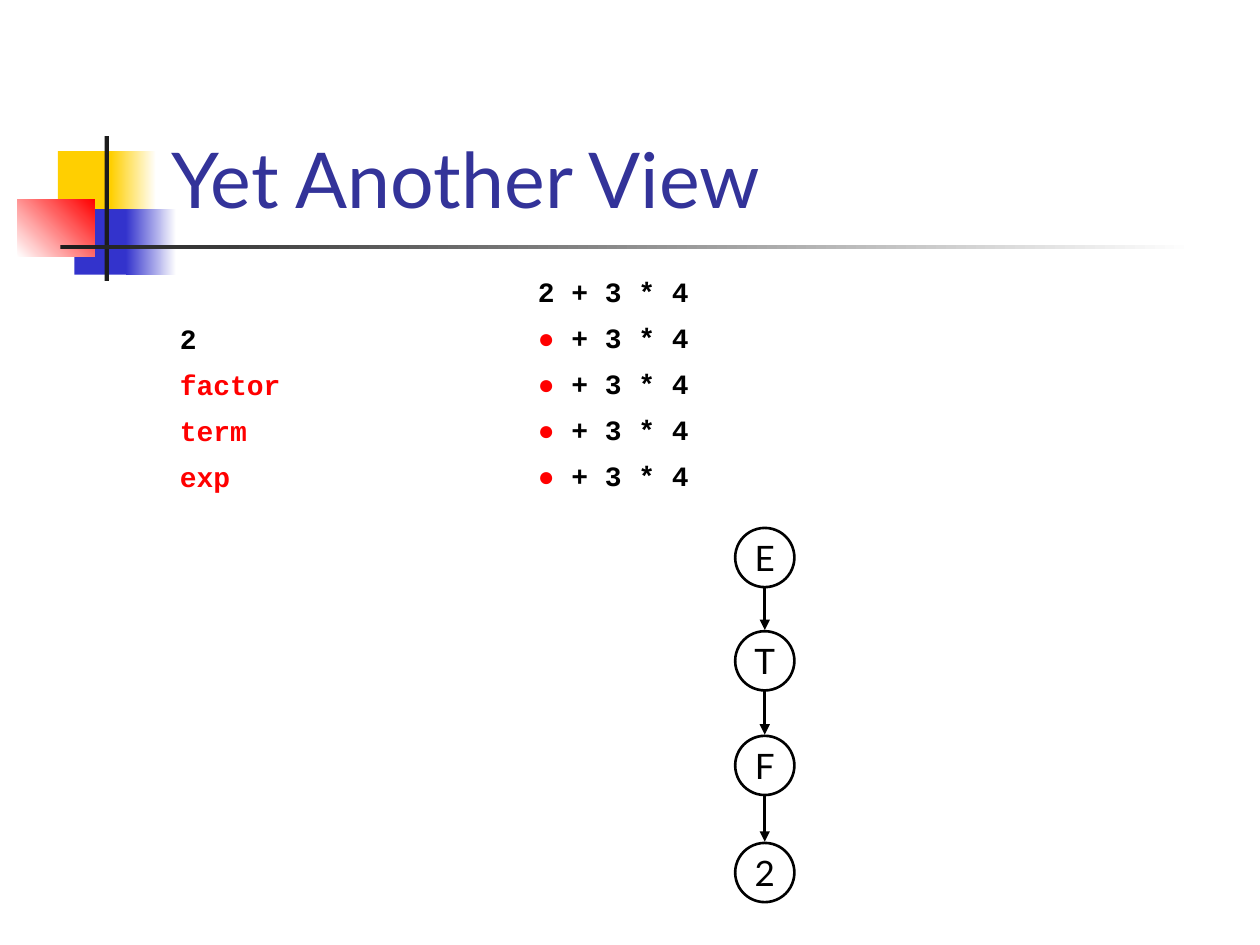
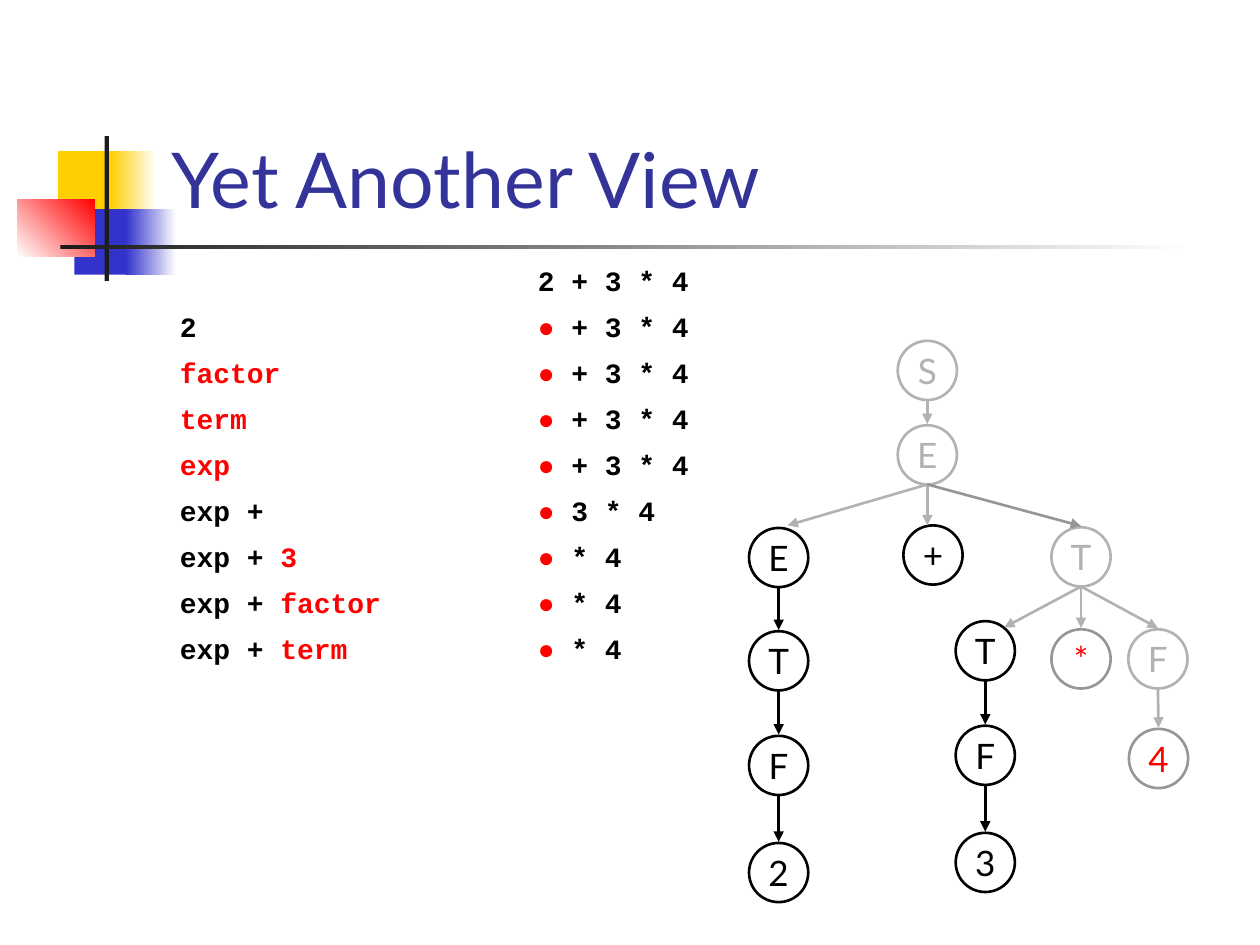
from lxml import etree
from pptx import Presentation
from pptx.dml.color import RGBColor
from pptx.enum.shapes import MSO_CONNECTOR, MSO_SHAPE
from pptx.enum.text import MSO_ANCHOR, MSO_AUTO_SIZE, PP_ALIGN
from pptx.oxml.ns import qn
from pptx.util import Inches, Pt

RECTANGLE, ELLIPSE = MSO_SHAPE.RECTANGLE, MSO_SHAPE.OVAL
STRAIGHT = MSO_CONNECTOR.STRAIGHT
CENTER = PP_ALIGN.CENTER
MIDDLE, BOTTOM = MSO_ANCHOR.MIDDLE, MSO_ANCHOR.BOTTOM
GROW = MSO_AUTO_SIZE.SHAPE_TO_FIT_TEXT

COLORS = {
    "black": "000000", "white": "FFFFFF", "red": "FF0000", "gold": "FFCF01",
    "blue": "3333CC", "ink": "1C1C1C", "title": "333399",
    "pending": "B2B2B2", "gray": "969696",
}
FONTS = {
    "title": {"name": "Lato", "size": Pt(44)},
    "node": {"name": "Lato", "size": Pt(20)},
    "code": {"name": "Courier New", "size": Pt(16)},
}
ROW_FORMAT = {"line_spacing": 0.9, "space_before": Pt(9)}
COLUMNS, ROWS = 100, 75
NODE = 4.7
ROW_STEP = 3.5
FIRST_PARSED_DROP = 3.7

BANDS = [
    (4.6, 12, 4.8, 5.2, ["gold"], 0),
    (8.8, 12, 3.6, 5.2, ["gold", "white"], 0),
    (5.9, 16.6, 4.6, 5.2, ["blue"], 0),
    (10, 16.6, 4, 5.2, ["blue", "white"], 0),
    (1.4, 15.8, 6.1, 4.6, ["white", "red"], 45),
    (8.3, 10.8, 0.35, 11.5, ["ink"], 0),
    (4.8, 19.45, 90, 0.35, ["ink", "white"], 0),
]

PARSED = [("2", ""), ("", "factor"), ("", "term"), ("", "exp"), ("exp +", ""),
          ("exp + ", "3"), ("exp + ", "factor"), ("exp + ", "term")]
REMAINING = ["+ 3 * 4"] * 4 + ["3 * 4"] + ["* 4"] * 3

CHAIN_ROWS = [44.25, 52.45, 60.75, 69.25]
UPPER_TREE = {
    "start": ("S", 73.6, 29.4, "pending", "pending"),
    "sum": ("E", 73.6, 36.1, "pending", "pending"),
    "plus": ("+", 74.05, 44.05, "black", "black"),
    "product": ("T", 85.8, 44.2, "pending", "pending"),
    "times": ("*", 85.8, 52.3, "gray", "red"),
    "factor": ("F", 91.9, 52.3, "pending", "pending"),
    "four": ("4", 91.95, 60.2, "gray", "red"),
}
UPPER_EDGES = [
    ("start", "sum", "pending", None),
    ("sum", "left", "pending", (62.5, 41.7)),
    ("sum", "plus", "pending", (73.6, 41.7)),
    ("sum", "product", "gray", None),
    ("product", "right", "pending", (79.7, 49.8)),
    ("product", "times", "pending", None),
    ("product", "factor", "pending", None),
    ("factor", "four", "pending", None),
]


def apply(target, values):
    for name, value in values.items():
        setattr(target, name, value)


class Deck:
    def __init__(self):
        self.presentation = Presentation()
        apply(self.presentation, {"slide_width": Inches(10), "slide_height": Inches(7.5)})
        self.slide = None

    def grid(self, column, row):
        return (round(self.presentation.slide_width * column / COLUMNS),
                round(self.presentation.slide_height * row / ROWS))

    def color(self, name):
        return RGBColor.from_string(COLORS[name])

    def new_slide(self, heading):
        self.slide = self.presentation.slides.add_slide(self.presentation.slide_layouts[6])
        for band in BANDS:
            self.band(*band)
        self.text(12.6, 2.3, 85.2, 16, [[(heading, "title", False)]], "title",
                  {"vertical_anchor": BOTTOM})

    def shape(self, kind, left, top, width, height):
        shape = self.slide.shapes.add_shape(
            kind, *self.grid(left, top), *self.grid(width, height))
        shape.shadow.inherit = False
        return shape

    def band(self, left, top, width, height, tones, angle):
        band = self.shape(RECTANGLE, left, top, width, height)
        band.line.fill.background()
        if len(tones) == 1:
            band.fill.solid()
            band.fill.fore_color.rgb = self.color(tones[0])
            return
        band.fill.gradient()
        band.fill.gradient_angle = angle
        for stop, tone in zip(band.fill.gradient_stops, tones):
            stop.color.rgb = self.color(tone)

    def add_runs(self, paragraph, runs, style):
        for words, tone, bold in runs:
            run = paragraph.add_run()
            run.text = words
            apply(run.font, {**FONTS[style], "bold": bold})
            run.font.color.rgb = self.color(tone)

    def text(self, left, top, width, height, rows, style, frame_format, row_format=None):
        box = self.slide.shapes.add_textbox(*self.grid(left, top), *self.grid(width, height))
        frame = box.text_frame
        apply(frame, {"word_wrap": True, **frame_format})
        for index, runs in enumerate(rows):
            paragraph = frame.add_paragraph() if index else frame.paragraphs[0]
            apply(paragraph, row_format or {})
            if not index:
                paragraph.space_before = Pt(0)
            self.add_runs(paragraph, runs, style)

    def node(self, label, column, row, outline, tone):
        node = self.shape(ELLIPSE, column - NODE / 2, row - NODE / 2, NODE, NODE)
        node.fill.background()
        node.line.color.rgb = self.color(outline)
        node.line.width = Pt(1.5)
        apply(node.text_frame, {"word_wrap": False, "vertical_anchor": MIDDLE})
        paragraph = node.text_frame.paragraphs[0]
        paragraph.alignment = CENTER
        self.add_runs(paragraph, [(label, tone, False)], "node")

    def arrow(self, start, end, tone):
        arrow = self.slide.shapes.add_connector(STRAIGHT, *self.grid(*start), *self.grid(*end))
        arrow.line.color.rgb = self.color(tone)
        arrow.line.width = Pt(1.5)
        properties = arrow._element.spPr
        etree.SubElement(properties.find(qn("a:ln")), qn("a:tailEnd"), type="triangle")
        etree.SubElement(properties, qn("a:effectLst"))

    def edge(self, parent, child, tone, tip=None):
        (x, y), (child_x, child_y) = parent, child
        self.arrow((x, y + NODE / 2), tip or (child_x, child_y - NODE / 2 - 0.1), tone)

    def chain(self, labels, column, rows):
        places = [(column, row) for row in rows]
        for label, place in zip(labels, places):
            self.node(label, *place, "black", "black")
        for parent, child in zip(places, places[1:]):
            self.edge(parent, child, "black")
        return places[0]

    def trace(self, top, steps):
        inputs = [[("2 + 3 * 4", "black", True)]]
        inputs += [[("● ", "red", False), (rest, "black", True)] for rest in REMAINING[:steps]]
        stacks = [[(words, tone, True) for words, tone in zip(parts, ("black", "red")) if words]
                  for parts in PARSED[:steps]]
        for left, start, width, rows in (
                (41.7, top, 19.2, inputs),
                (13.3, top + FIRST_PARSED_DROP, 28.3, stacks)):
            self.text(left, start, width, 0.8 + ROW_STEP * len(rows), rows, "code",
                      {"auto_size": GROW}, ROW_FORMAT)


def main():
    deck = Deck()

    deck.new_slide("Yet Another View")
    deck.trace(21.6, 4)
    deck.chain("ETF2", 60.7, CHAIN_ROWS)

    deck.new_slide("Yet Another View")
    deck.trace(20.7, 8)
    places = {key: (column, row) for key, (_, column, row, *_) in UPPER_TREE.items()}
    places["left"] = deck.chain("ETF2", 61.8, CHAIN_ROWS)
    places["right"] = deck.chain("TF3", 78.2, [row - 0.8 for row in CHAIN_ROWS[1:]])
    for node in UPPER_TREE.values():
        deck.node(*node)
    for parent, child, tone, tip in UPPER_EDGES:
        deck.edge(places[parent], places[child], tone, tip)

    deck.presentation.save("out.pptx")


if __name__ == "__main__":
    main()
